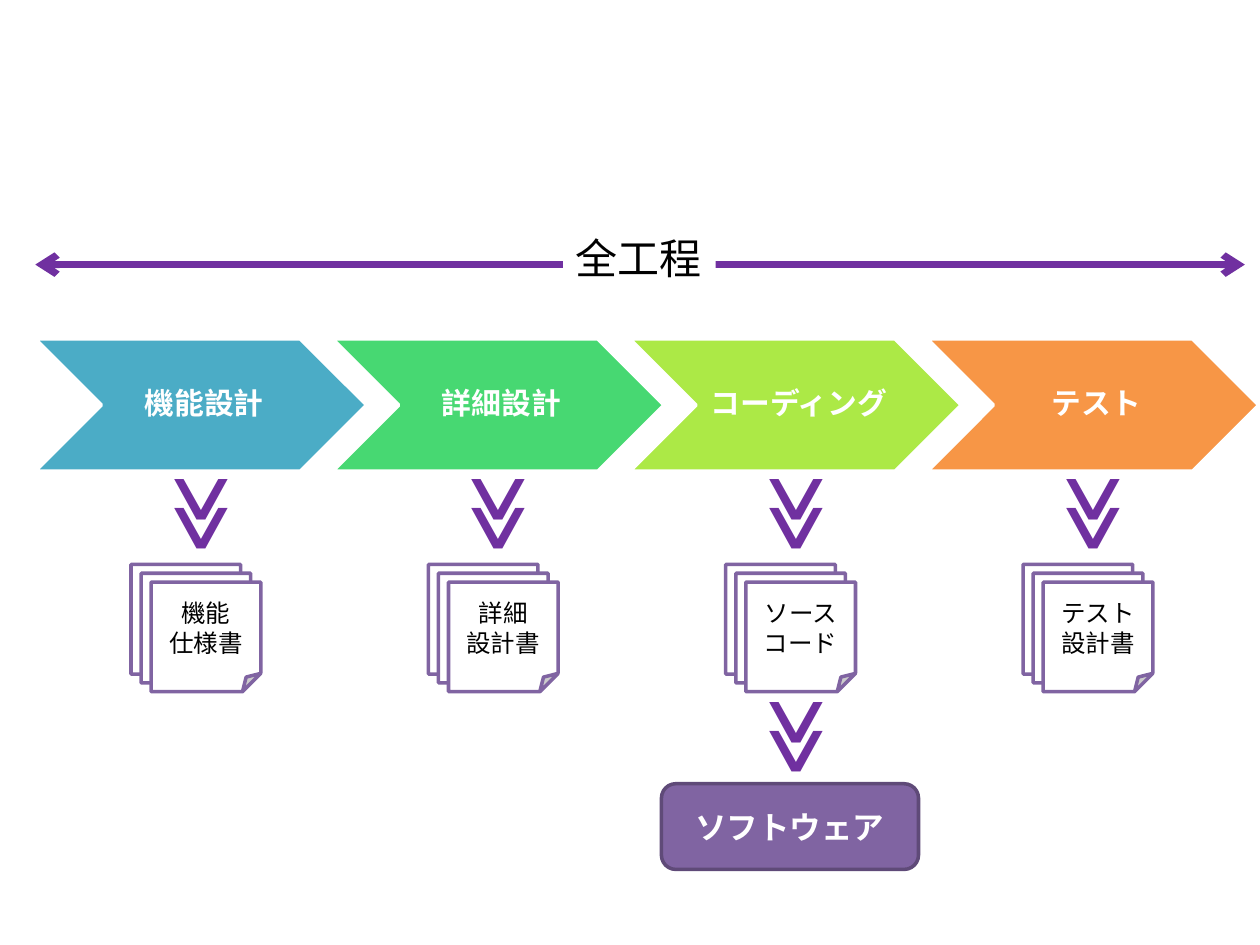
from lxml import etree
from pptx import Presentation
from pptx.dml.color import RGBColor
from pptx.enum import shapes, text
from pptx.oxml.ns import qn
from pptx.util import Inches, Pt

WHITE = RGBColor(0xFF, 0xFF, 0xFF)
BLACK = RGBColor(0, 0, 0)
PURPLE = RGBColor(0x70, 0x30, 0xA0)
VIOLET = RGBColor(0x80, 0x64, 0xA2)
DARK_VIOLET = RGBColor(0x5F, 0x4A, 0x78)
BLUE = RGBColor(0x4B, 0xAC, 0xC6)
GREEN = RGBColor(0x47, 0xD8, 0x72)
LIME = RGBColor(0xAC, 0xE9, 0x46)
ORANGE = RGBColor(0xF7, 0x96, 0x46)

JP_FONT = "Noto Sans CJK JP"
MARK_FONT = "Calibri"

STAGES = [
    ("機能設計", BLUE, ["機能", "仕様書"]),
    ("詳細設計", GREEN, ["詳細", "設計書"]),
    ("コーディング", LIME, ["ソース", "コード"]),
    ("テスト", ORANGE, ["テスト", "設計書"]),
]
STAGE_PITCH, OUTPUT_PITCH = 2.36, 2.36
CODING = 2


def write(sp, lines, size, color, bold=False, font=JP_FONT, align=None, **frame):
    tf = sp.text_frame
    for name, value in frame.items():
        setattr(tf, name, value)
    for i, line in enumerate(lines):
        p = tf.paragraphs[0] if i == 0 else tf.add_paragraph()
        p.alignment = align
        r = p.add_run()
        r.text = line
        for name, value in {"name": font, "size": Pt(size), "bold": bold}.items():
            setattr(r.font, name, value)
        r.font.color.rgb = color
        if font == JP_FONT:
            etree.SubElement(r.font._element, qn("a:ea")).set("typeface", font)


def add_box(parent, kind, box, fill, line):
    sp = parent.add_shape(kind, *map(Inches, box))
    sp.shadow.inherit = False
    sp.fill.solid()
    sp.fill.fore_color.rgb = fill
    sp.line.color.rgb = line
    sp.line.width = Pt(2)
    return sp


def add_stage(parent, x, y, w, h, label, color):
    group = parent.add_group_shape().shapes
    add_box(group, shapes.MSO_SHAPE.CHEVRON, (x, y, w, h), color, WHITE)
    sp = group.add_textbox(*map(Inches, (x + h / 2, y, w - h, h)))
    write(sp, [label], 17, WHITE, bold=True, align=text.PP_ALIGN.CENTER,
          word_wrap=True, vertical_anchor=text.MSO_ANCHOR.MIDDLE,
          margin_left=Inches(0.07), margin_right=Inches(0.02),
          margin_top=Inches(0.02), margin_bottom=Inches(0.02))
    sp.text_frame.paragraphs[0].line_spacing = 0.9


def add_documents(parent, x, y, size, lines):
    """Stack three sheets, with the text on the front one."""
    group = parent.add_group_shape().shapes
    for i in range(3):
        sheet = add_box(group, shapes.MSO_SHAPE.FOLDED_CORNER,
                        (x + 0.08 * i, y + 0.07 * i, size, size), WHITE, VIOLET)
    write(sheet, lines, 14, BLACK, align=text.PP_ALIGN.CENTER,
          vertical_anchor=text.MSO_ANCHOR.MIDDLE)


def add_down_mark(parent, x, y):
    sp = parent.add_textbox(*map(Inches, (x, y, 0.82, 0.84)))
    sp.rotation = 270
    write(sp, ["≪"], 44, PURPLE, bold=True, font=MARK_FONT, word_wrap=False,
          auto_size=text.MSO_AUTO_SIZE.SHAPE_TO_FIT_TEXT)


def add_span(parent, x, y, w):
    """Draw the double arrow over all stages, with its label in the gap."""
    line = parent.add_connector(shapes.MSO_CONNECTOR.STRAIGHT,
                                *map(Inches, (x, y, x + w, y)))
    line.line.color.rgb = PURPLE
    line.line.width = Pt(4)
    ln = line.line._get_or_add_ln()
    for end in ("a:headEnd", "a:tailEnd"):
        etree.SubElement(ln, qn(end)).set("type", "arrow")
    etree.SubElement(line._element.spPr, qn("a:effectLst"))

    sp = parent.add_textbox(*map(Inches, (x + 4.19, y - 0.3, 1.21, 0.5)))
    sp.fill.solid()
    sp.fill.fore_color.rgb = WHITE
    write(sp, ["全工程"], 24, BLACK, word_wrap=False,
          auto_size=text.MSO_AUTO_SIZE.SHAPE_TO_FIT_TEXT)


def add_software(parent, box):
    sp = add_box(parent, shapes.MSO_SHAPE.ROUNDED_RECTANGLE, box, VIOLET, DARK_VIOLET)
    write(sp, ["ソフトウェア"], 18, WHITE, bold=True, align=text.PP_ALIGN.CENTER,
          vertical_anchor=text.MSO_ANCHOR.MIDDLE)


def main():
    prs = Presentation()
    prs.slide_width, prs.slide_height = Inches(10), Inches(7.5)
    parts = prs.slides.add_slide(prs.slide_layouts[6]).shapes

    for i, (label, color, documents) in enumerate(STAGES):
        add_stage(parts, 0.28 + STAGE_PITCH * i, 2.69, 2.63, 1.05, label, color)
        add_documents(parts, 1.04 + OUTPUT_PITCH * i, 4.48, 0.87, documents)
        add_down_mark(parts, 1.14 + OUTPUT_PITCH * i, 3.67)
    add_down_mark(parts, 1.14 + OUTPUT_PITCH * CODING, 5.44)
    add_software(parts, (5.25, 6.22, 2.04, 0.68))
    add_span(parts, 0.28, 2.1, 9.6)

    prs.save("out.pptx")


if __name__ == "__main__":
    main()
